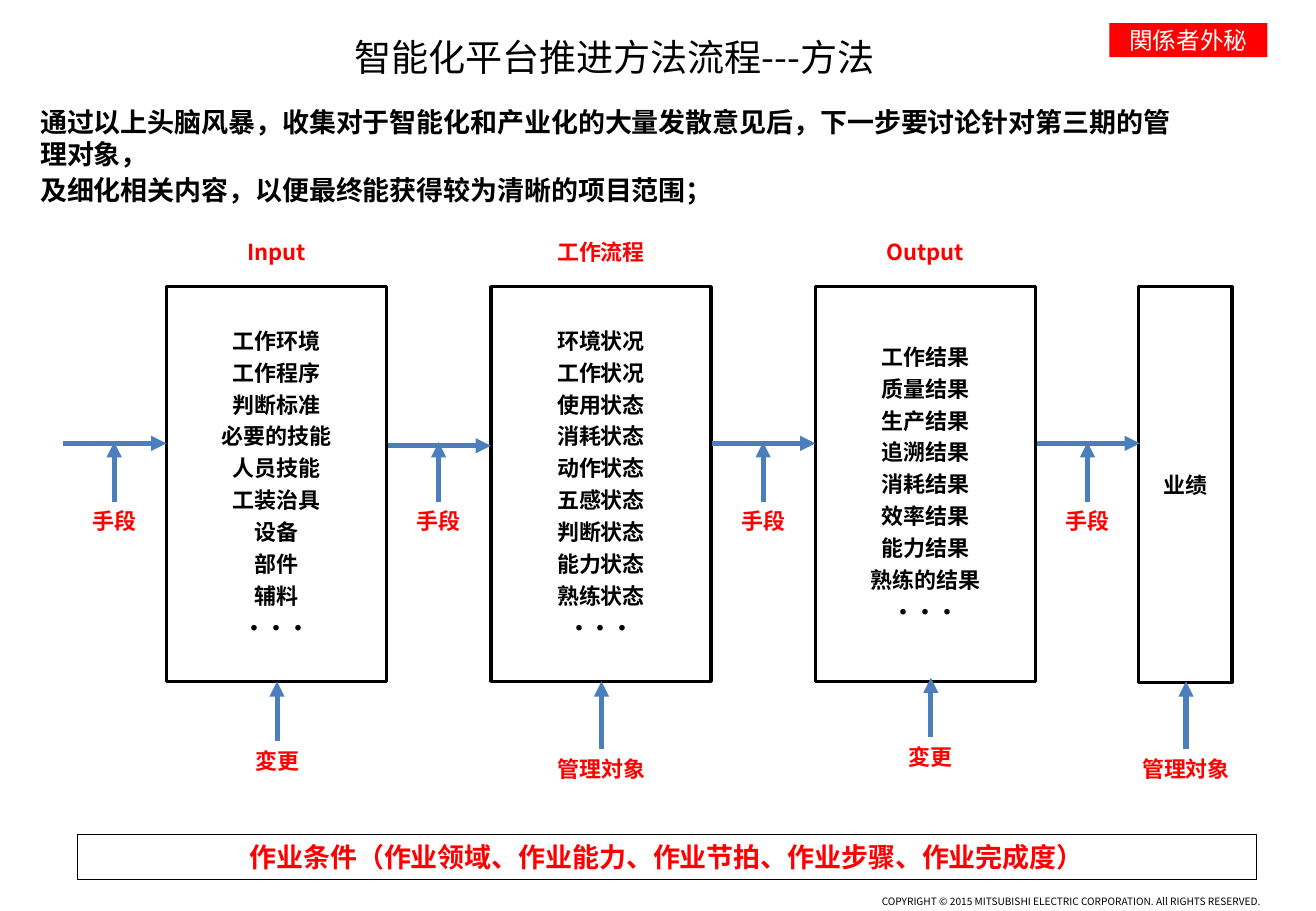
from pptx import Presentation
from pptx.dml.color import RGBColor
from pptx.enum.shapes import MSO_CONNECTOR, MSO_SHAPE
from pptx.enum.text import MSO_ANCHOR, MSO_AUTO_SIZE, PP_ALIGN
from pptx.oxml.ns import qn
from pptx.util import Inches, Pt
from lxml.etree import SubElement

RED = RGBColor(0xFF, 0, 0)
BLACK = RGBColor(0, 0, 0)
WHITE = RGBColor(0xFF, 0xFF, 0xFF)
BLUE = RGBColor(0x4B, 0x7E, 0xBC)
SANS_SC = "Noto Sans CJK SC"
SANS_JP = "Noto Sans CJK JP"

STEP = 2.67
LEFT = 1.37
WIDE = 1.81
COLUMNS = [
    ("Input", ["工作环境", "工作程序", "判断标准", "必要的技能", "人员技能",
               "工装治具", "设备", "部件", "辅料", "・・・"]),
    ("工作流程", ["环境状况", "工作状况", "使用状态", "消耗状态", "动作状态",
              "五感状态", "判断状态", "能力状态", "熟练状态", "・・・"]),
    ("Output", ["工作结果", "质量结果", "生产结果", "追溯结果", "消耗结果",
                "效率结果", "能力结果", "熟练的结果", "・・・"]),
]
FLOW_TOPS = [3.65, 3.67, 3.65, 3.65]
CAUSES = [
    ("変更", 2.28, 6.1, 5.61),
    ("管理対象", 4.95, 6.17, 5.61),
    ("変更", 7.66, 6.07, 5.58),
    ("管理対象", 9.76, 6.17, 5.61),
]
INTRO = [
    "通过以上头脑风暴，收集对于智能化和产业化的大量发散意见后，下一步要讨论针对第三期的管理对象，",
    "及细化相关内容，以便最终能获得较为清晰的项目范围；",
]


class Page:
    def __init__(self, deck):
        self.slide = deck.slides.add_slide(deck.slide_layouts[1])
        self.shapes = self.slide.shapes
        self.form = {"size": Pt(13), "bold": True, "name": SANS_SC}

    def words(self, shape, lines, color=BLACK, align=PP_ALIGN.CENTER, gap=3.3,
              anchor=MSO_ANCHOR.MIDDLE, wrap=True, inset=None, **form):
        frame = shape.text_frame
        look = {"auto_size": MSO_AUTO_SIZE.NONE, "word_wrap": wrap,
                "vertical_anchor": anchor}
        if inset:
            sides = ("margin_left", "margin_top", "margin_right", "margin_bottom")
            look.update(zip(sides, map(Inches, inset)))
        for key, value in look.items():
            setattr(frame, key, value)
        for index, line in enumerate(lines):
            para = frame.add_paragraph() if index else frame.paragraphs[0]
            para.alignment = align
            para.space_before = Pt(gap if index else 0)
            run = para.add_run()
            run.text = line
            for key, value in {**self.form, **form}.items():
                setattr(run.font, key, value)
            run.font.color.rgb = color
            east = SubElement(run.font._element, qn("a:ea"))
            east.set("typeface", run.font.name)

    def holder(self, index, place, lines, **form):
        shape = self.slide.placeholders[index]
        for key, value in zip(("left", "top", "width", "height"), place):
            setattr(shape, key, Inches(value))
        self.words(shape, lines, **form)
        return shape

    def box(self, place, lines, fill=None, line=BLACK, weight=2, **form):
        shape = self.shapes.add_shape(MSO_SHAPE.RECTANGLE, *map(Inches, place))
        shape.shadow.inherit = False
        if fill is None:
            shape.fill.background()
        else:
            shape.fill.solid()
            shape.fill.fore_color.rgb = fill
        if line is None:
            shape.line.fill.background()
        else:
            shape.line.color.rgb = line
            shape.line.width = Pt(weight)
        self.words(shape, lines, **form)

    def label(self, place, text, **form):
        shape = self.shapes.add_textbox(*map(Inches, place))
        self.words(shape, [text], **form)

    def tag(self, mid, top, text):
        self.label((mid - WIDE / 2, top, WIDE, 0.32), text, color=RED)

    def arrow(self, *ends):
        link = self.shapes.add_connector(MSO_CONNECTOR.STRAIGHT, *map(Inches, ends))
        link.line.color.rgb = BLUE
        link.line.width = Pt(3)
        props = link._element.spPr
        SubElement(props.get_or_add_ln(), qn("a:tailEnd")).set("type", "triangle")
        SubElement(props, qn("a:effectLst"))


def main():
    deck = Presentation()
    deck.slide_width = Inches(10.83)
    deck.slide_height = Inches(7.5)
    page = Page(deck)

    page.holder(0, (2.14, 0.23, 5.83, 0.47), ["智能化平台推进方法流程---方法"],
                size=Pt(22), bold=False)
    intro = page.holder(1, (0.29, 0.78, 9.56, 1), INTRO, align=PP_ALIGN.LEFT, gap=1.7,
                        wrap=False, inset=(0.04,) * 4, size=Pt(16))
    for para in intro.text_frame.paragraphs:
        props = para._p.get_or_add_pPr()
        props.set("marL", "0")
        props.set("indent", "0")
        SubElement(props, qn("a:buNone"))

    page.box((9.13, 0.19, 1.3, 0.28), ["関係者外秘"], fill=RED, line=None, color=WHITE,
             wrap=False, size=Pt(14), bold=False, name=SANS_JP)
    page.label((4.44, 7.35, 5.93, 0.12),
               "COPYRIGHT © 2015 MITSUBISHI ELECTRIC CORPORATION. All RIGHTS RESERVED.",
               align=PP_ALIGN.RIGHT, anchor=MSO_ANCHOR.BOTTOM, inset=(0, 0.04, 0, 0),
               size=Pt(6), bold=False, name=SANS_JP)

    for index, (head, items) in enumerate(COLUMNS):
        left = LEFT + STEP * index
        page.box((left, 2.36, WIDE, 3.25), items, fill=WHITE)
        page.tag(left + WIDE / 2, 1.91, head)
    page.box((9.37, 2.36, 0.77, 3.26), ["业绩"], fill=WHITE)

    for index, top in enumerate(FLOW_TOPS):
        left = 0.52 + STEP * index
        mid = left + 0.42
        page.arrow(left, top, left + 0.85, top)
        page.arrow(mid, 4.13, mid, 3.64)
        page.tag(mid, 4.13, "手段")

    for text, mid, low, high in CAUSES:
        page.arrow(mid, low, mid, high)
        page.tag(mid, low, text)

    page.box((0.64, 6.87, 9.7, 0.37),
             ["作业条件（作业领域、作业能力、作业节拍、作业步骤、作业完成度）"],
             weight=0.75, color=RED, size=Pt(16))
    deck.save("out.pptx")


if __name__ == "__main__":
    main()
